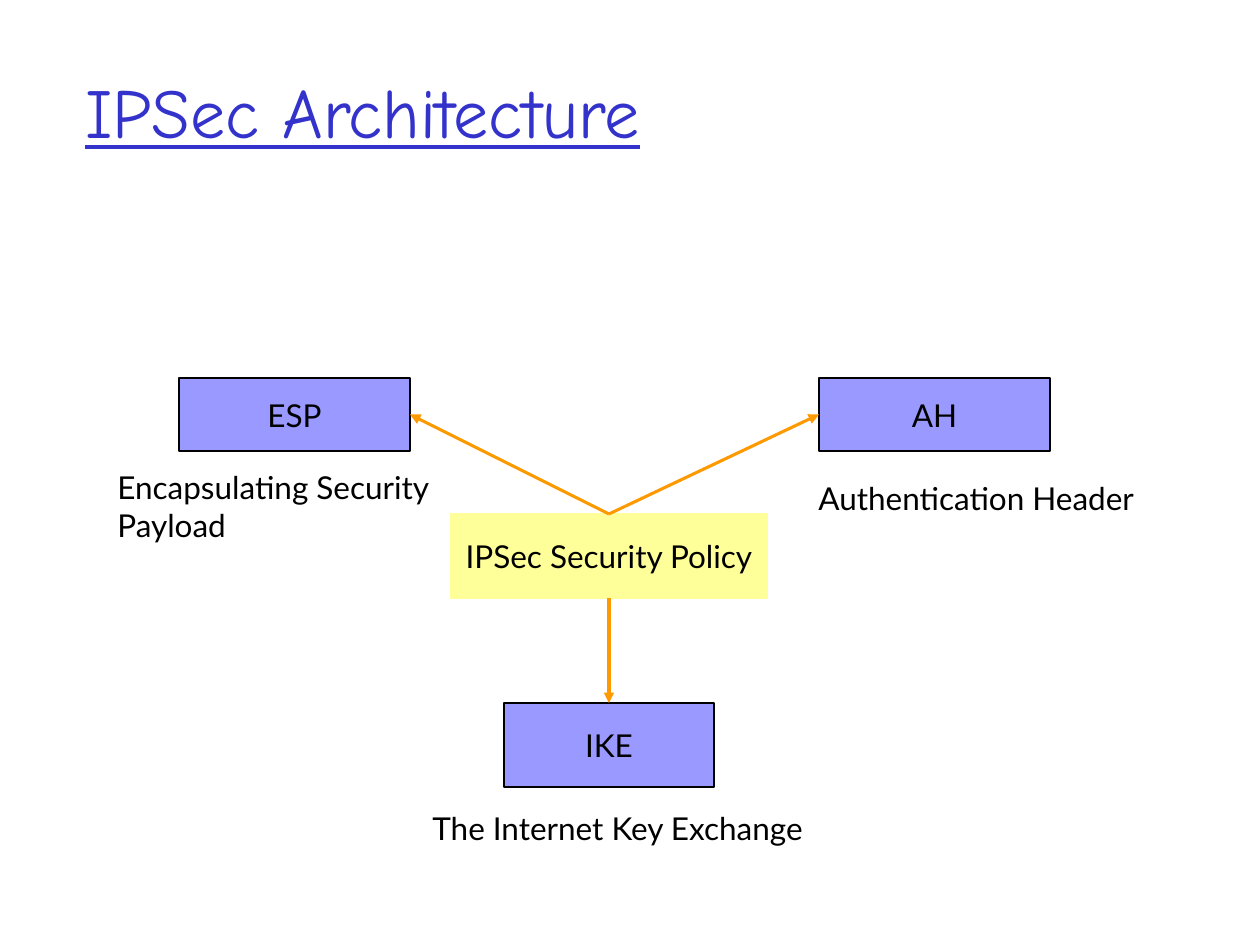
from lxml.etree import SubElement
from pptx import Presentation
from pptx.dml.color import RGBColor
from pptx.enum.shapes import MSO_CONNECTOR, MSO_SHAPE
from pptx.enum.text import MSO_ANCHOR, PP_ALIGN
from pptx.oxml.ns import qn
from pptx.util import Emu, Pt

EMU_PER_PX = 914400 / 126

BLUE = RGBColor(0x33, 0x33, 0xCC)
LAVENDER = RGBColor(0x99, 0x99, 0xFF)
YELLOW = RGBColor(0xFF, 0xFF, 0x99)
ORANGE = RGBColor(0xFF, 0x99, 0x00)
BLACK = RGBColor(0x00, 0x00, 0x00)

# Connection sites of a rectangle
TOP, LEFT, BOTTOM, RIGHT = range(4)


def px(*lengths):
    return [Emu(round(length * EMU_PER_PX)) for length in lengths]


def write(shape, text, font="Lato", size=18, color=BLACK, underline=None,
          align=PP_ALIGN.LEFT, anchor=MSO_ANCHOR.TOP, wrap=True):
    frame = shape.text_frame
    frame.text = text
    frame.word_wrap = wrap
    frame.vertical_anchor = anchor
    for paragraph in frame.paragraphs:
        paragraph.alignment = align
        paragraph.font.name = font
        paragraph.font.size = Pt(size)
        paragraph.font.color.rgb = color
        paragraph.font.underline = underline


prs = Presentation()
prs.slide_width, prs.slide_height = px(1260, 945)
slide = prs.slides.add_slide(prs.slide_layouts[6])
shapes = slide.shapes

title = shapes.add_textbox(*px(73, 32, 1071, 157))
write(title, "IPSec Architecture", font="Comic Neue", size=40, color=BLUE,
      underline=True, anchor=MSO_ANCHOR.MIDDLE)

# Protocols around the security policy
components = {}
for name, bounds, fill, border in [
    ("ESP", (179, 378, 231, 73), LAVENDER, BLACK),
    ("AH", (819, 378, 231, 73), LAVENDER, BLACK),
    ("IKE", (504, 703, 210, 84), LAVENDER, BLACK),
    ("IPSec Security Policy", (451, 514, 316, 84), YELLOW, YELLOW),
]:
    box = shapes.add_shape(MSO_SHAPE.RECTANGLE, *px(*bounds))
    box.shadow.inherit = False
    box.fill.solid()
    box.fill.fore_color.rgb = fill
    box.line.color.rgb = border
    box.line.width = Pt(0.75)
    write(box, name, align=PP_ALIGN.CENTER, anchor=MSO_ANCHOR.MIDDLE, wrap=False)
    components[name] = box

# Arrows from the policy to each protocol
policy = components["IPSec Security Policy"]
for protocol, policy_site, protocol_site in [
    ("ESP", TOP, RIGHT),
    ("AH", TOP, LEFT),
    ("IKE", BOTTOM, TOP),
]:
    arrow = shapes.add_connector(MSO_CONNECTOR.STRAIGHT, 0, 0, 0, 0)
    arrow.begin_connect(policy, policy_site)
    arrow.end_connect(components[protocol], protocol_site)
    arrow.line.color.rgb = ORANGE
    arrow.line.width = Pt(1.75)
    SubElement(arrow.line._get_or_add_ln(), qn("a:tailEnd"), type="triangle")
    SubElement(arrow._element.spPr, qn("a:effectLst"))

# Full names of the protocols
for full_name, bounds in [
    ("Encapsulating Security\nPayload", (105, 462, 359, 88)),
    ("Authentication Header", (806, 473, 360, 50)),
    ("The Internet Key Exchange", (420, 803, 422, 50)),
]:
    write(shapes.add_textbox(*px(*bounds)), full_name)

prs.save("out.pptx")
